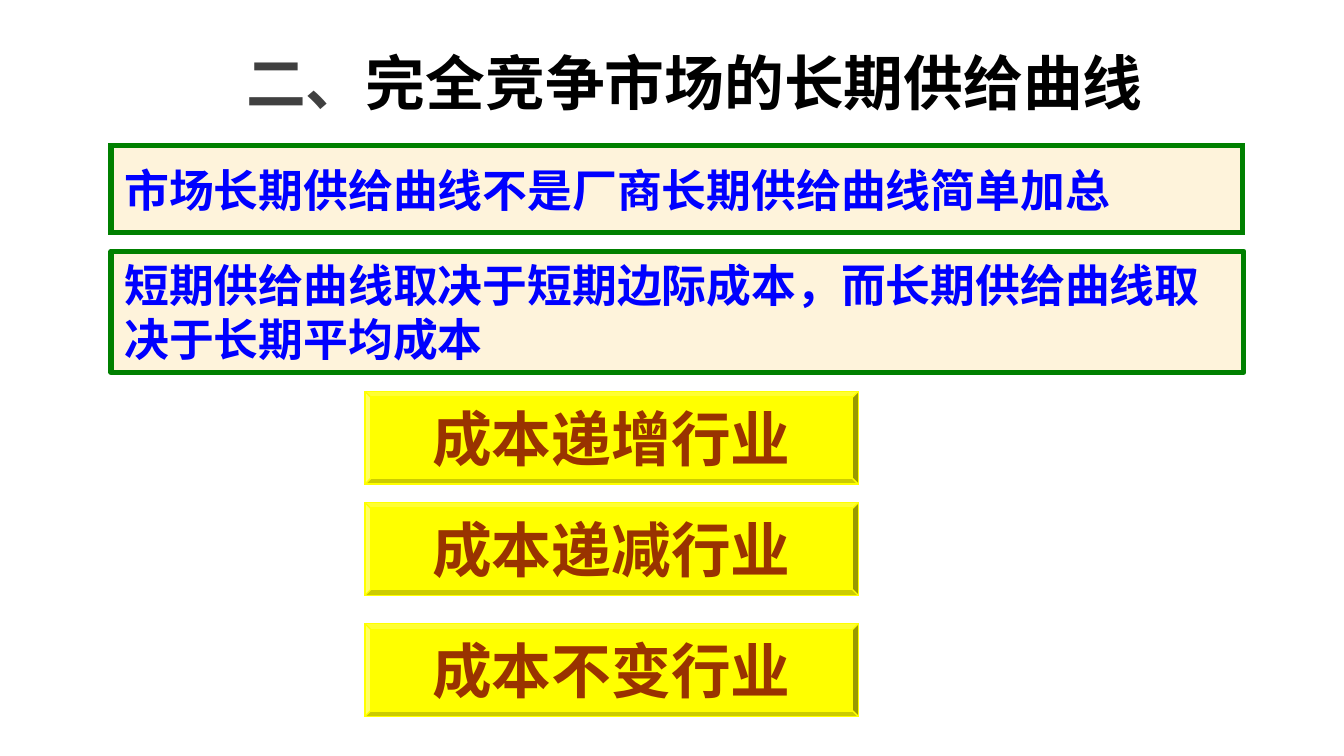
from dataclasses import dataclass

from lxml import etree
from pptx import Presentation
from pptx import util as u
from pptx.dml.color import RGBColor
from pptx.enum import shapes, text
from pptx.oxml.ns import qn

COLORS = {
    "cream": "FEF3DB", "green": "008000", "blue": "0000FF", "yellow": "FFFF00",
    "brown": "993300", "gray": "404040", "black": "000000",
}
SANS = "Noto Sans CJK SC"
SERIF = "Times New Roman"


@dataclass
class Style:
    kind: int
    fill: str
    line: str
    line_width: float
    color: str
    size: int
    font: str
    align: int
    wrap: bool


@dataclass
class Panel:
    words: str
    left: float
    top: float
    width: float
    height: float
    style: Style
    anchor: int = text.MSO_ANCHOR.MIDDLE
    join: str = "a:miter"


STATEMENT = Style(shapes.MSO_SHAPE.RECTANGLE, "cream", "green", 2.75, "blue", 24,
                  SANS, text.PP_ALIGN.LEFT, True)
INDUSTRY = Style(shapes.MSO_SHAPE.BEVEL, "yellow", "yellow", 0.75, "brown", 32,
                 SERIF, text.PP_ALIGN.CENTER, False)

STATEMENTS = [
    Panel("市场长期供给曲线不是厂商长期供给曲线简单加总", 2.1, 2.75, 21.39, 1.65, STATEMENT),
    Panel("短期供给曲线取决于短期边际成本，而长期供给曲线取决于长期平均成本",
          2.1, 4.75, 21.41, 2.29, STATEMENT, text.MSO_ANCHOR.TOP, "a:round"),
]
INDUSTRIES = [
    Panel(words, 6.9, top, 9.32, 1.75, INDUSTRY)
    for words, top in [("成本递增行业", 7.4), ("成本递减行业", 9.5), ("成本不变行业", 11.79)]
]
TITLE_RUNS = [("二、", "gray"), ("完全竞争市场的长期供给曲线", "black")]


def rgb(name: str) -> RGBColor:
    return RGBColor.from_string(COLORS[name])


def add_run(paragraph, words: str, color: str, size: int, font: str) -> None:
    run = paragraph.add_run()
    run.text = words
    formats = {"size": u.Pt(size), "bold": True, "name": font}
    for name, value in formats.items():
        setattr(run.font, name, value)
    run.font.color.rgb = rgb(color)
    east_asian = etree.SubElement(run.font._element, qn("a:ea"))
    east_asian.set("typeface", SANS)


def draw_panel(slide, panel: Panel) -> None:
    style = panel.style
    box = [u.Cm(n) for n in (panel.left, panel.top, panel.width, panel.height)]
    shape = slide.shapes.add_shape(style.kind, *box)
    shape.shadow.inherit = False
    shape.fill.solid()
    shape.fill.fore_color.rgb = rgb(style.fill)
    shape.line.color.rgb = rgb(style.line)
    shape.line.width = u.Pt(style.line_width)
    etree.SubElement(shape.line._get_or_add_ln(), qn(panel.join))
    if style.kind == shapes.MSO_SHAPE.BEVEL:
        shape.adjustments[0] = 0.06
    frame = shape.text_frame
    formats = {"word_wrap": style.wrap, "vertical_anchor": panel.anchor}
    for name, value in formats.items():
        setattr(frame, name, value)
    paragraph = frame.paragraphs[0]
    paragraph.alignment = style.align
    add_run(paragraph, panel.words, style.color, style.size, style.font)


def draw_title(slide) -> None:
    title = slide.shapes.title
    place = {"left": 1.7, "top": 0.74, "width": 22.86, "height": 1.07}
    for name, value in place.items():
        setattr(title, name, u.Cm(value))
    frame = title.text_frame
    formats = {"auto_size": text.MSO_AUTO_SIZE.NONE, "word_wrap": True,
               "vertical_anchor": text.MSO_ANCHOR.TOP}
    for name, value in formats.items():
        setattr(frame, name, value)
    paragraph = frame.paragraphs[0]
    paragraph.alignment = text.PP_ALIGN.CENTER
    for words, color in TITLE_RUNS:
        add_run(paragraph, words, color, 32, SANS)


def main() -> None:
    presentation = Presentation()
    presentation.slide_width = u.Cm(25.4)
    presentation.slide_height = presentation.slide_width * 9 // 16
    slide = presentation.slides.add_slide(presentation.slide_layouts[5])
    draw_title(slide)
    for panel in STATEMENTS + INDUSTRIES:
        draw_panel(slide, panel)
    presentation.save("out.pptx")


if __name__ == "__main__":
    main()
